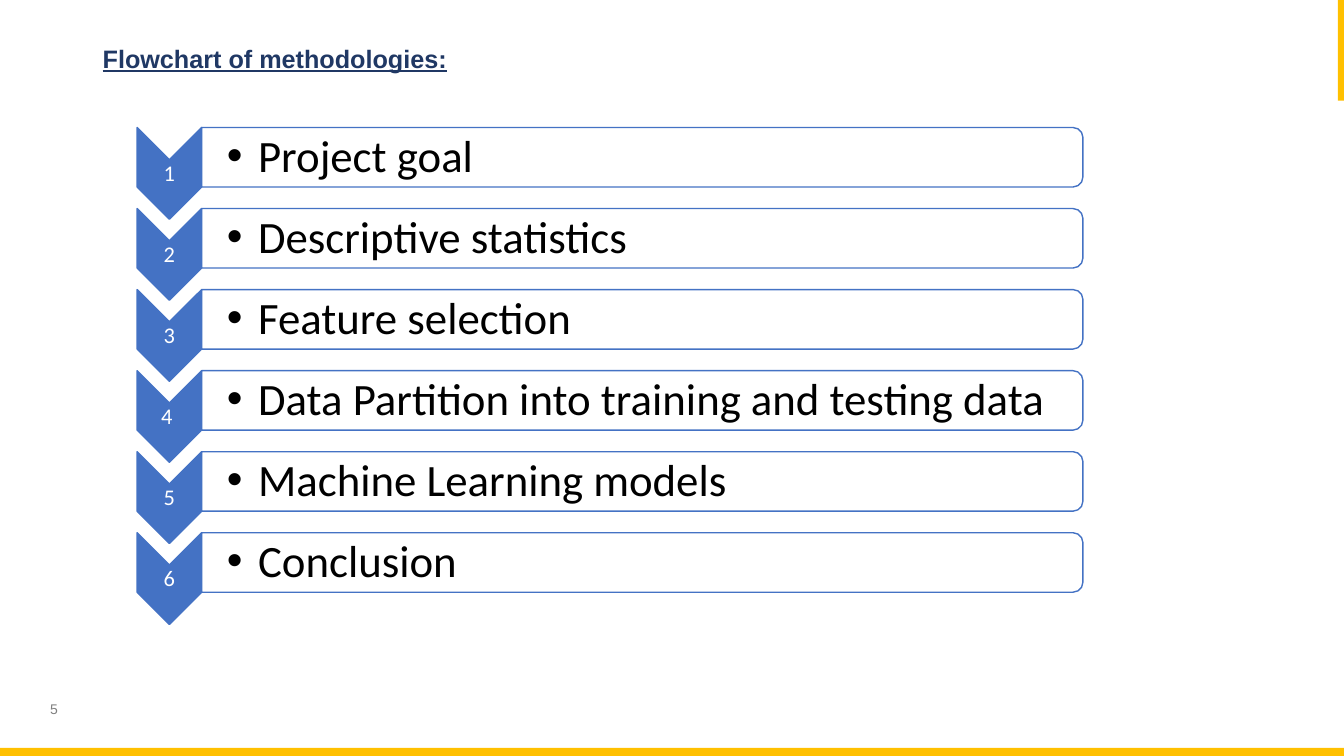
import pptx
import pptx.util
from lxml import etree
from pptx.dml.color import RGBColor
from pptx.enum.shapes import MSO_SHAPE
from pptx.enum.text import MSO_ANCHOR, PP_ALIGN
from pptx.oxml.ns import qn
from pptx.util import Inches, Pt

TITLE = "Flowchart of methodologies:"
PAGE_NUMBER = "5"
STEPS = [
    ("1", "Project goal"),
    ("2", "Descriptive statistics"),
    ("3", "Feature selection"),
    ("4 ", "Data Partition into training and testing data"),
    ("5", "Machine Learning models"),
    ("6", "Conclusion"),
]

NAVY = RGBColor(0x20, 0x38, 0x64)
BLUE = RGBColor(0x44, 0x72, 0xC4)
GOLD = RGBColor(0xFF, 0xC0, 0x00)
GRAY = RGBColor(0x80, 0x80, 0x80)
WHITE = RGBColor(0xFF, 0xFF, 0xFF)
BLACK = RGBColor(0x00, 0x00, 0x00)

SLIDE_W, SLIDE_H = 13.33, 7.5
FIRST_CENTER = 1.56  # middle of the first step's bar
STEP_PITCH = 4.02 / (len(STEPS) - 1)
CHEVRON_LEFT, CHEVRON_W, CHEVRON_H = 1.36, 0.64, 0.91
BAR_LEFT, BAR_W, BAR_H = 2.0, 8.74, 0.59

prs = pptx.Presentation()
prs.slide_width, prs.slide_height = Inches(SLIDE_W), Inches(SLIDE_H)
slide = prs.slides.add_slide(prs.slide_layouts[6])


def add_block(kind, left, top, width, height, fill, line=None, turned=False):
    """Add a preset shape covering the given box; a turned one is rotated by 90 degrees."""
    if turned:
        left, top = left + (width - height) / 2, top + (height - width) / 2
        width, height = height, width
    block = slide.shapes.add_shape(
        kind, Inches(left), Inches(top), Inches(width), Inches(height))
    block.rotation = 90 if turned else 0
    block.shadow.inherit = False
    block.fill.solid()
    block.fill.fore_color.rgb = fill
    if line is None:
        block.line.fill.background()
    else:
        block.line.color.rgb = line
        block.line.width = Pt(1)
    return block


def add_label(text, box, size, color, font="Calibri", align=PP_ALIGN.LEFT,
              insets=(0.1, 0.05, 0.1, 0.05), spacing=0.9):
    """Add a one-paragraph text box, centred vertically, and return its paragraph."""
    frame = slide.shapes.add_textbox(*map(Inches, box)).text_frame
    frame.word_wrap = True
    frame.vertical_anchor = MSO_ANCHOR.MIDDLE
    (frame.margin_left, frame.margin_top,
     frame.margin_right, frame.margin_bottom) = map(Inches, insets)
    frame.text = text
    paragraph = frame.paragraphs[0]
    paragraph.alignment = align
    paragraph.line_spacing = spacing
    run_font = paragraph.runs[0].font
    run_font.name, run_font.size = font, Pt(size)
    run_font.color.rgb = color
    return paragraph


def add_bullet(paragraph, indent):
    properties = paragraph._p.get_or_add_pPr()
    properties.set("marL", str(Inches(indent)))
    properties.set("indent", str(-Inches(indent)))
    etree.SubElement(properties, qn("a:buFont")).set("typeface", "Arial")
    etree.SubElement(properties, qn("a:buChar")).set("char", "•")


def set_opacity(block, percent):
    color = block.fill._xPr.find(qn("a:solidFill"))[0]
    etree.SubElement(color, qn("a:alpha")).set("val", str(percent * 1000))


add_label(PAGE_NUMBER, (0.16, 6.83, 0.75, 0.4), 10, GRAY, "Arial",
          PP_ALIGN.CENTER, spacing=1.0)
add_block(MSO_SHAPE.RECTANGLE, 13.27, 0, 0.08, 1, GOLD)
add_block(MSO_SHAPE.RECTANGLE, 0, 7.42, SLIDE_W, 0.09, GOLD)

heading = add_label(TITLE, (0.92, 0.4, 3.74, 0.39), 18, NAVY, "Arial")
heading.runs[0].font.bold = True
heading.runs[0].font.underline = True

for index, (number, step) in enumerate(STEPS):
    center = FIRST_CENTER + index * STEP_PITCH
    bar_top = center - BAR_H / 2
    add_block(MSO_SHAPE.CHEVRON, CHEVRON_LEFT, bar_top, CHEVRON_W, CHEVRON_H,
              BLUE, BLUE, turned=True)
    add_label(number, (CHEVRON_LEFT, center + 0.03, CHEVRON_W, 0.27), 16, WHITE,
              align=PP_ALIGN.CENTER, insets=(0.01,) * 4)
    bar = add_block(MSO_SHAPE.ROUND_2_SAME_RECTANGLE, BAR_LEFT, bar_top, BAR_W, BAR_H,
                    WHITE, BLUE, turned=True)
    set_opacity(bar, 90)
    step_line = add_label(step, (BAR_LEFT, center - 0.26, 8.71, 0.53), 32, BLACK,
                          insets=(0.25, 0.02, 0.02, 0.02))
    add_bullet(step_line, 0.31)

prs.save("out.pptx")
